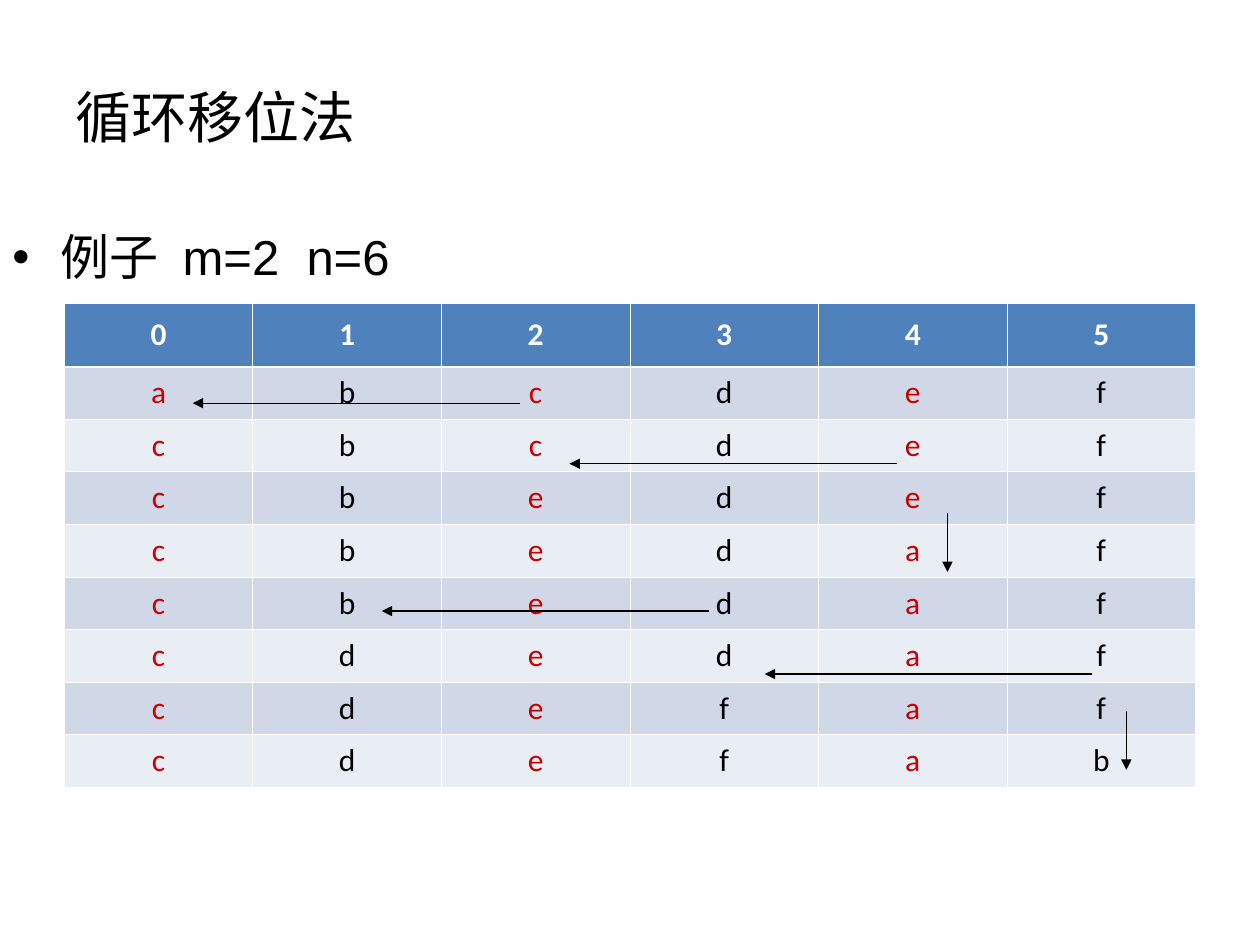
"""Build a slide that traces array rotation by cyclic shifting."""
from dataclasses import dataclass

import pptx
import pptx.dml.color
import pptx.enum.shapes
import pptx.enum.text
import pptx.oxml
import pptx.oxml.ns
import pptx.util
from pptx.util import Inches


@dataclass(frozen=True)
class Theme:
    """Colours, fonts and sizes of the slide."""
    black: str = "000000"
    white: str = "FFFFFF"
    red: str = "CC0000"
    header: str = "4F81BD"
    bands: tuple = ("D0D8E8", "E9EDF4")
    text_font: str = "Arial"
    table_font: str = "Calibri"
    title_size: float = 32
    body_size: float = 28
    table_size: float = 18
    wide_space: float = 7.8
    arrow_width: float = 0.75
    border_width: float = 0.45
    header_border_width: float = 1.47


THEME = Theme()
STEPS = ["abcdef", "cbcdef", "cbedef", "cbedaf", "cbedaf", "cdedaf", "cdefaf", "cdefab"]
SHIFT_LENGTH = 2.6
DROP_LENGTH = 0.47
SHIFTS = [(4.13, 3.2), (7.12, 3.68), (5.63, 4.85), (8.67, 5.35)]
DROPS = [(7.52, 4.07), (8.94, 5.64)]


def add_xml(parent, tag, **attributes):
    """Append a DrawingML element and return it."""
    element = pptx.oxml.parse_xml(f"<a:{tag} {pptx.oxml.ns.nsdecls('a')}/>")
    for name, value in attributes.items():
        element.set(name, str(value))
    parent.append(element)
    return element


def write_text(frame, text, *, size, color=THEME.black, font=THEME.text_font, bold=False,
               align=pptx.enum.text.PP_ALIGN.LEFT, space_before=0, word_gap=0):
    """Write one formatted paragraph, widening its spaces by word_gap points."""
    paragraph = frame.paragraphs[0]
    paragraph.alignment = align
    paragraph.space_before = pptx.util.Pt(space_before)
    head, *words = text.split(" ")
    pieces = [head] + [piece for word in words for piece in (" ", word)]
    for piece in pieces:
        run = paragraph.add_run()
        run.text = piece
        run.font.name = font
        run.font.size = pptx.util.Pt(size)
        run.font.bold = bold
        run.font.color.rgb = pptx.dml.color.RGBColor.from_string(color)
        if piece == " ":
            run.font._element.set("spc", str(round(word_gap * 100)))
    return paragraph


def add_text_box(slide, left, top, width, height, text, *, anchor, **text_format):
    """Add a wrapping text box and return its paragraph."""
    frame = slide.shapes.add_textbox(
        Inches(left), Inches(top), Inches(width), Inches(height)).text_frame
    frame.word_wrap = True
    frame.vertical_anchor = anchor
    return write_text(frame, text, **text_format)


def add_bullet(paragraph, indent):
    """Give a paragraph a hanging round bullet."""
    properties = paragraph._p.get_or_add_pPr()
    properties.set("marL", str(Inches(indent)))
    properties.set("indent", str(-Inches(indent)))
    add_xml(add_xml(properties, "buClr"), "srgbClr", val=THEME.black)
    add_xml(properties, "buFont", typeface=THEME.text_font)
    add_xml(properties, "buChar", char="•")


def set_borders(cell, **widths):
    """Draw white cell borders with the given widths in points."""
    properties = cell._tc.get_or_add_tcPr()
    for side, width in widths.items():
        line = add_xml(properties, side, w=pptx.util.Pt(width))
        add_xml(add_xml(line, "solidFill"), "srgbClr", val=THEME.white)


def fill_cell(cell, text, *, fill, color, bold, top, bottom):
    """Set the text, borders and fill of a table cell."""
    cell.vertical_anchor = pptx.enum.text.MSO_ANCHOR.MIDDLE
    write_text(cell.text_frame, text, size=THEME.table_size, color=color,
               font=THEME.table_font, bold=bold,
               align=pptx.enum.text.PP_ALIGN.CENTER, space_before=4.5)
    set_borders(cell, lnL=THEME.border_width, lnR=THEME.border_width, lnT=top, lnB=bottom)
    cell.fill.solid()
    cell.fill.fore_color.rgb = pptx.dml.color.RGBColor.from_string(fill)


def add_steps_table(slide, left, top, width, height, header_height):
    """Add the table that shows the array after every step."""
    rows = ["012345"] + STEPS
    columns = len(rows[0])
    table = slide.shapes.add_table(
        len(rows), columns, Inches(left), Inches(top), Inches(width), Inches(height)).table
    for column in table.columns:
        column.width = Inches(width / columns)
    for row_index, letters in enumerate(rows):
        is_header = row_index == 0
        row_height = header_height if is_header else (height - header_height) / len(STEPS)
        table.rows[row_index].height = Inches(row_height)
        for column_index, letter in enumerate(letters):
            cycle_color = THEME.black if column_index % 2 else THEME.red
            fill_cell(
                table.cell(row_index, column_index), letter,
                fill=THEME.header if is_header else THEME.bands[(row_index - 1) % 2],
                color=THEME.white if is_header else cycle_color,
                bold=is_header,
                top=THEME.header_border_width if row_index == 1 else THEME.border_width,
                bottom=THEME.header_border_width if is_header else THEME.border_width)


def add_arrow(slide, x, y, *, across=0, down=0):
    """Add a straight arrow from a point by the given offset."""
    arrow = slide.shapes.add_connector(
        pptx.enum.shapes.MSO_CONNECTOR.STRAIGHT,
        Inches(x), Inches(y), Inches(x + across), Inches(y + down))
    arrow.line.width = pptx.util.Pt(THEME.arrow_width)
    arrow.line.color.rgb = pptx.dml.color.RGBColor.from_string(THEME.black)
    add_xml(arrow.line._get_or_add_ln(), "tailEnd", type="triangle")
    add_xml(arrow._element.spPr, "effectLst")


def main():
    """Build and save the presentation."""
    presentation = pptx.Presentation()
    presentation.slide_width = Inches(10)
    presentation.slide_height = Inches(7.5)
    slide = presentation.slides.add_slide(presentation.slide_layouts[6])
    add_text_box(slide, 0.5, 0.3, 9, 1.25, "循环移位法",
                 anchor=pptx.enum.text.MSO_ANCHOR.MIDDLE, size=THEME.title_size)
    add_steps_table(slide, 0.51, 2.41, 8.98, 3.84, header_height=0.5)
    example = add_text_box(slide, 0, 1.75, 4.42, 4.95, "例子 m=2 n=6",
                           anchor=pptx.enum.text.MSO_ANCHOR.TOP, size=THEME.body_size,
                           space_before=7, word_gap=THEME.wide_space)
    add_bullet(example, 0.38)
    for x, y in SHIFTS:
        add_arrow(slide, x, y, across=-SHIFT_LENGTH)
    for x, y in DROPS:
        add_arrow(slide, x, y, down=DROP_LENGTH)
    presentation.save("out.pptx")


if __name__ == "__main__":
    main()
